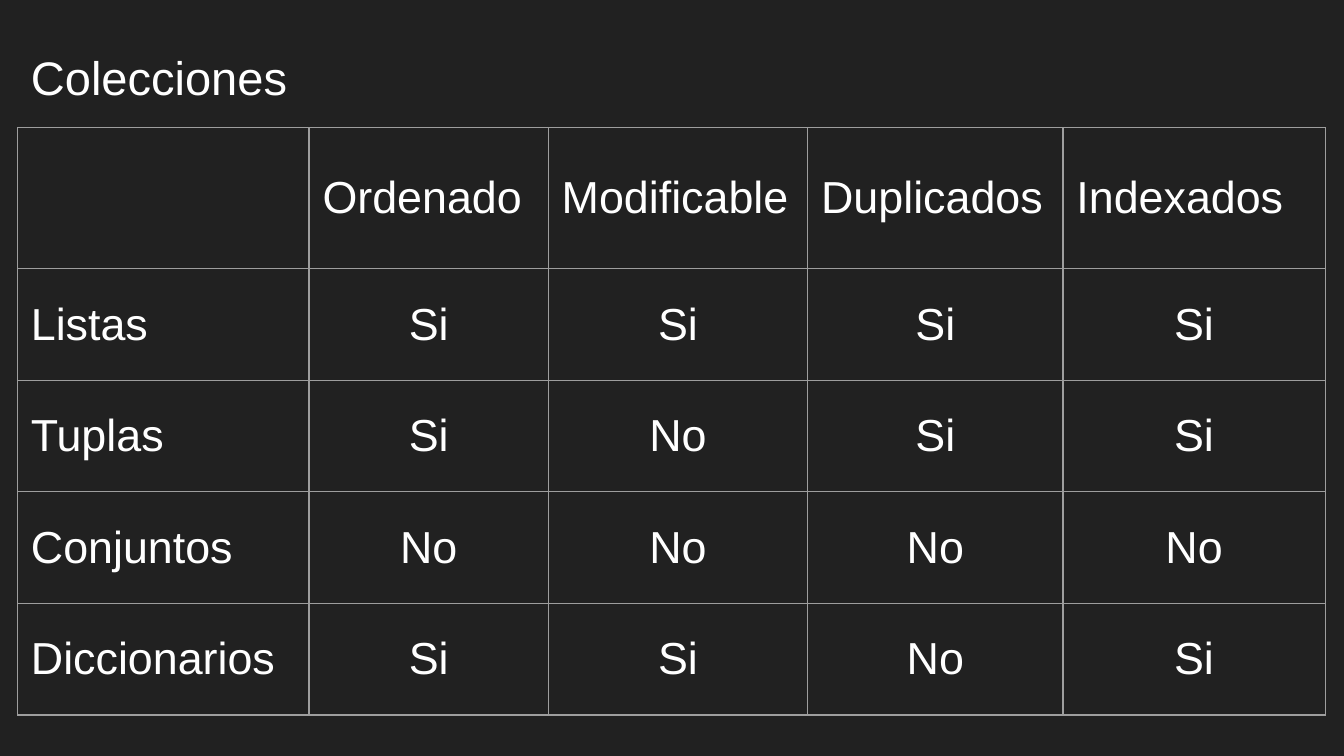
from lxml.etree import SubElement
from pptx import Presentation
from pptx.dml.color import RGBColor
from pptx.enum.text import MSO_ANCHOR as Anchor, PP_ALIGN as Align
from pptx.oxml.ns import qn
from pptx.util import Inches, Pt

BACKGROUND = RGBColor(0x21, 0x21, 0x21)
WHITE = RGBColor(0xFF, 0xFF, 0xFF)
GRID = RGBColor(0x9E, 0x9E, 0x9E)
FONT = "Arial"
MARGIN = Inches(0.1)

COL_WIDTHS = [2.17, 1.78, 1.93, 1.9, 1.95]
ROW_HEIGHTS = [1.05] + [0.83] * 4
ROWS = [
    ["", "Ordenado", "Modificable", "Duplicados", "Indexados"],
    ["Listas", "Si", "Si", "Si", "Si"],
    ["Tuplas", "Si", "No", "Si", "Si"],
    ["Conjuntos", "No", "No", "No", "No"],
    ["Diccionarios", "Si", "Si", "No", "Si"],
]


def format_text(p, size, align):
    """Set the font and alignment of a paragraph."""
    p.alignment = align
    p.font.name, p.font.size = FONT, Pt(size)
    p.font.color.rgb = WHITE


def set_margins(box):
    """Give a cell or text frame equal margins."""
    box.margin_left = box.margin_right = MARGIN
    box.margin_top = box.margin_bottom = MARGIN


def set_borders(cell):
    """Draw a thin line on all four sides of a cell."""
    tc_pr = cell._tc.get_or_add_tcPr()
    for i, side in enumerate("LRTB"):
        ln = SubElement(tc_pr, qn(f"a:ln{side}"), w=str(Pt(0.75)))
        fill = SubElement(ln, qn("a:solidFill"))
        SubElement(fill, qn("a:srgbClr"), val=str(GRID))
        tc_pr.insert(i, ln)


def add_title(s, text, x, y, w, h):
    """Place the slide title in the given box."""
    title = s.shapes.title
    title.left, title.top, title.width, title.height = map(Inches, (x, y, w, h))
    tf = title.text_frame
    tf.text = text
    tf.word_wrap = True
    tf.vertical_anchor = Anchor.BOTTOM
    set_margins(tf)
    format_text(tf.paragraphs[0], 25.2, Align.LEFT)


def add_comparison(s, x, y):
    """Place the table of collection properties with its corner at x, y."""
    table = s.shapes.add_table(
        len(ROWS), len(COL_WIDTHS), Inches(x), Inches(y),
        Inches(sum(COL_WIDTHS)), Inches(sum(ROW_HEIGHTS))).table
    table.first_row = table.horz_banding = False
    for col, width in zip(table.columns, COL_WIDTHS):
        col.width = Inches(width)
    for row, height in zip(table.rows, ROW_HEIGHTS):
        row.height = Inches(height)
    for r, texts in enumerate(ROWS):
        for c, text in enumerate(texts):
            cell = table.cell(r, c)
            cell.text = text
            cell.vertical_anchor = Anchor.MIDDLE
            set_margins(cell)
            cell.fill.background()
            set_borders(cell)
            align = Align.CENTER if r and c else Align.LEFT
            format_text(cell.text_frame.paragraphs[0], 24, align)


def add_collections_slide(prs):
    """Add the slide that compares the collection types."""
    s = prs.slides.add_slide(prs.slide_layouts[5])
    s.background.fill.solid()
    s.background.fill.fore_color.rgb = BACKGROUND
    add_title(s, "Colecciones", 0.13, 0.25, 9.32, 0.63)
    add_comparison(s, 0.13, 0.95)


prs = Presentation()
prs.slide_width = Inches(10)
prs.slide_height = prs.slide_width * 9 // 16
add_collections_slide(prs)
prs.save("out.pptx")
